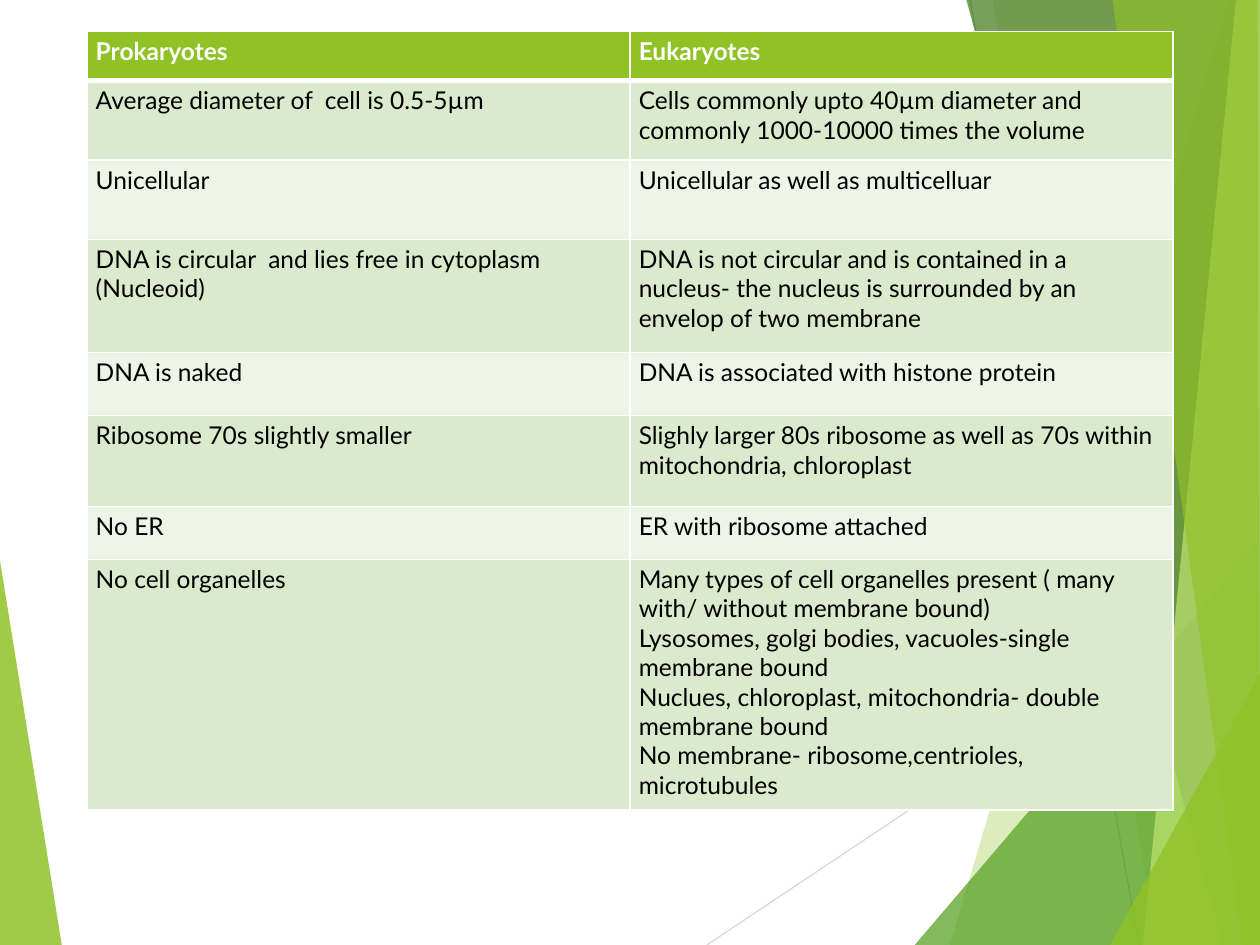
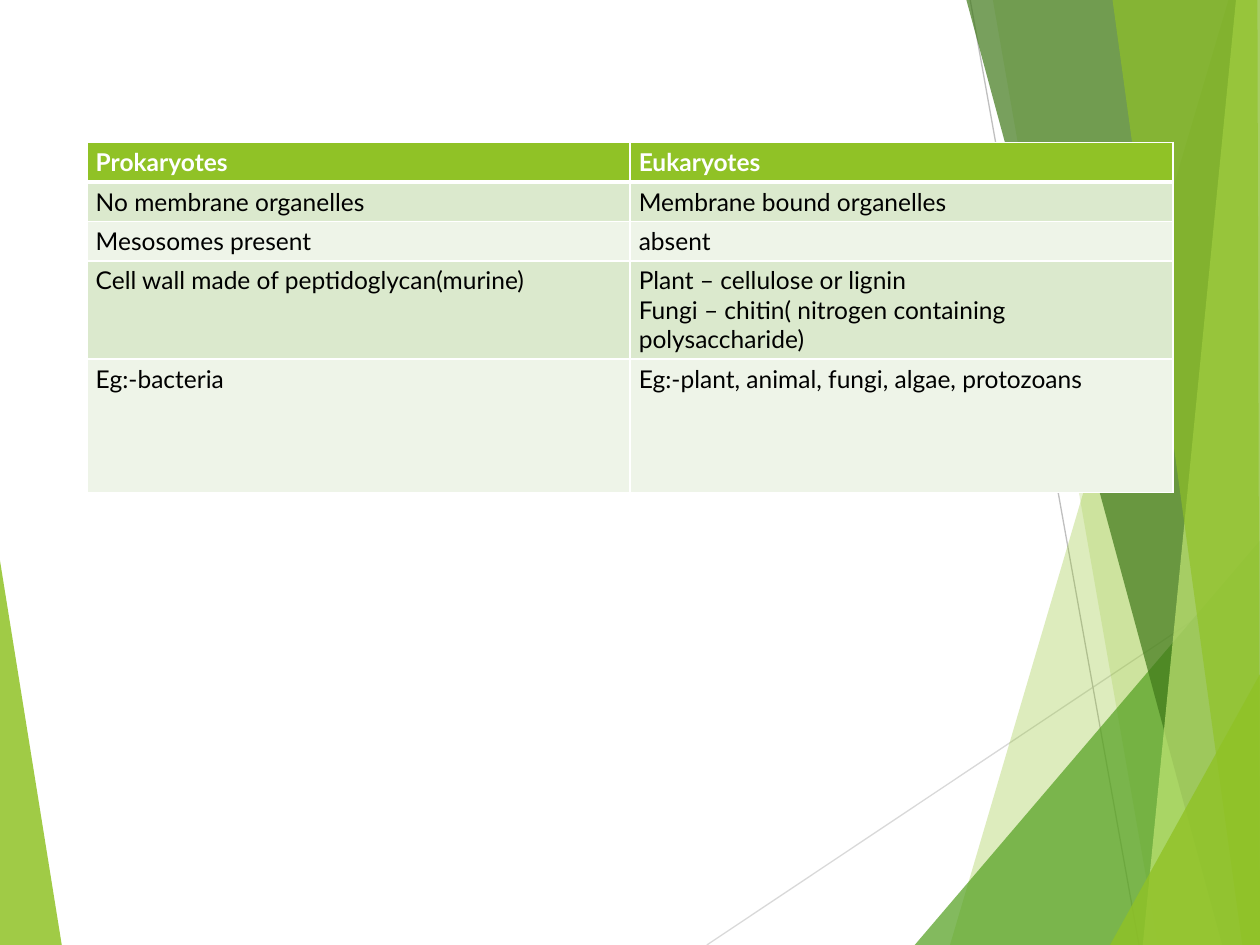
from lxml.etree import SubElement
from pptx import Presentation
from pptx.dml.color import RGBColor
from pptx.enum.shapes import MSO_CONNECTOR
from pptx.oxml.ns import qn
from pptx.util import Inches, Pt

# Shared theme
WHITE = RGBColor(0xFF, 0xFF, 0xFF)
BLACK = RGBColor(0x00, 0x00, 0x00)
LIME = RGBColor(0x90, 0xC2, 0x26)
PALE_LIME = RGBColor(0xC0, 0xE4, 0x74)
LEAF = RGBColor(0x54, 0xA0, 0x21)
FOREST = RGBColor(0x3F, 0x78, 0x19)
ODD_BAND = RGBColor(0xDB, 0xE9, 0xCD)
EVEN_BAND = RGBColor(0xEE, 0xF4, 0xE8)
LIGHT_GREY = RGBColor(0xD9, 0xD9, 0xD9)
GREY = RGBColor(0xBF, 0xBF, 0xBF)
FONT = "Lato"
FONT_SIZE = Pt(14)
SLIDE_W, SLIDE_H = 10, 7.5
TABLE_LEFT, COLUMN_W = 0.69, 4.31

# Background facets, back to front: colour, opacity in percent, corners
LEFT_FACET = (LIME, 85, [(0, 4.45), (0.49, SLIDE_H), (0, SLIDE_H)])
RIGHT_FACETS = [
    (LIME, 30, [(9.75, 0), (7.54, SLIDE_H), (SLIDE_W, SLIDE_H), (SLIDE_W, 0)]),
    (LIME, 20, [(7.88, 0), (9.19, SLIDE_H), (SLIDE_W, SLIDE_H), (SLIDE_W, 0)]),
    (LEAF, 72, [(7.26, SLIDE_H), (SLIDE_W, 4.29), (SLIDE_W, SLIDE_H)]),
    (FOREST, 70, [(7.67, 0), (9.7, SLIDE_H), (SLIDE_W, SLIDE_H), (SLIDE_W, 0)]),
    (PALE_LIME, 70, [(9.81, 0), (9.07, SLIDE_H), (SLIDE_W, SLIDE_H), (SLIDE_W, 0)]),
    (LIME, 65, [(8.83, 0), (9.86, SLIDE_H), (SLIDE_W, SLIDE_H), (9.98, 0)]),
    (LIME, 80, [(8.81, SLIDE_H), (SLIDE_W, 5.35), (SLIDE_W, SLIDE_H)]),
]
RAYS = [
    (LIGHT_GREY, (5.61, SLIDE_H), (SLIDE_W, 4.57)),
    (GREY, (7.7, 0), (9.04, SLIDE_H)),
]

# Comparison rows: height, prokaryotes, eukaryotes
HEADINGS = ("Prokaryotes", "Eukaryotes")
CELL_STRUCTURE = [
    (0.39, *HEADINGS),
    (0.63, "Average diameter of  cell is 0.5-5µm",
     "Cells commonly upto 40µm diameter and commonly 1000-10000 times the volume"),
    (0.63, "Unicellular", "Unicellular as well as multicelluar"),
    (0.9, "DNA is circular  and lies free in cytoplasm\n(Nucleoid)",
     "DNA is not circular and is contained in a nucleus- the nucleus is "
     "surrounded by an envelop of two membrane"),
    (0.5, "DNA is naked", "DNA is associated with histone protein"),
    (0.72, "Ribosome 70s slightly smaller",
     "Slighly larger 80s ribosome as well as 70s within mitochondria, chloroplast"),
    (0.42, "No ER", "ER with ribosome attached"),
    (1.99, "No cell organelles",
     "Many types of cell organelles present ( many with/ without membrane bound)\n"
     "Lysosomes, golgi bodies, vacuoles-single membrane bound\n"
     "Nuclues, chloroplast, mitochondria- double membrane bound\n"
     "No membrane- ribosome,centrioles, microtubules"),
]
ORGANELLES_AND_WALLS = [
    (0.31, *HEADINGS),
    (0.31, "No membrane organelles", "Membrane bound organelles"),
    (0.31, "Mesosomes present", "absent"),
    (0.78, "Cell wall made of peptidoglycan(murine)",
     "Plant – cellulose or lignin\n"
     "Fungi – chitin( nitrogen containing polysaccharide)"),
    (1.06, "Eg:-bacteria", "Eg:-plant, animal, fungi, algae, protozoans"),
]


def add_facet(slide, color, opacity, corners):
    """Draw one translucent polygon of the background."""
    points = [(Inches(x), Inches(y)) for x, y in corners]
    builder = slide.shapes.build_freeform(*points[0])
    builder.add_line_segments(points[1:], close=True)
    facet = builder.convert_to_shape()
    facet.shadow.inherit = False
    facet.line.fill.background()
    facet.fill.solid()
    facet.fill.fore_color.rgb = color
    tint = facet.element.spPr.find(qn("a:solidFill")).find(qn("a:srgbClr"))
    SubElement(tint, qn("a:alpha"), val=str(opacity * 1000))


def add_ray(slide, color, start, end):
    """Draw one thin line of the background."""
    ends = [Inches(value) for value in (*start, *end)]
    ray = slide.shapes.add_connector(MSO_CONNECTOR.STRAIGHT, *ends)
    ray.line.color.rgb = color
    ray.line.width = Pt(0.75)
    SubElement(ray.element.spPr, qn("a:effectLst"))


def add_background(slide):
    add_facet(slide, *LEFT_FACET)
    for ray in RAYS:
        add_ray(slide, *ray)
    for facet in RIGHT_FACETS:
        add_facet(slide, *facet)


def set_borders(cell, top, bottom):
    """Give the cell white borders; widths are in points."""
    properties = cell._tc.get_or_add_tcPr()
    for side, width in (("L", 1), ("R", 1), ("T", top), ("B", bottom)):
        border = SubElement(properties, qn(f"a:ln{side}"), w=str(Pt(width)))
        solid = SubElement(border, qn("a:solidFill"))
        SubElement(solid, qn("a:srgbClr"), val=str(WHITE))


def fill_cell(cell, text, row_index):
    is_heading = row_index == 0
    cell.margin_left = cell.margin_right = Inches(0.07)
    cell.margin_top = cell.margin_bottom = Inches(0.04)
    set_borders(cell, top=3 if row_index == 1 else 1, bottom=3 if is_heading else 1)
    cell.fill.solid()
    band = ODD_BAND if row_index % 2 else EVEN_BAND
    cell.fill.fore_color.rgb = LIME if is_heading else band
    cell.text_frame.text = text
    for paragraph in cell.text_frame.paragraphs:
        for run in paragraph.runs:
            run.font.name = FONT
            run.font.size = FONT_SIZE
            run.font.bold = is_heading
            run.font.color.rgb = WHITE if is_heading else BLACK


def add_comparison(slide, top, rows):
    """Add the two-column table of prokaryotes against eukaryotes."""
    height = sum(row[0] for row in rows)
    comparison = slide.shapes.add_table(
        len(rows), len(HEADINGS), Inches(TABLE_LEFT), Inches(top),
        Inches(COLUMN_W * len(HEADINGS)), Inches(height)).table
    for row_index, (row_height, *texts) in enumerate(rows):
        comparison.rows[row_index].height = Inches(row_height)
        for column_index, text in enumerate(texts):
            fill_cell(comparison.cell(row_index, column_index), text, row_index)


def main():
    deck = Presentation()
    deck.slide_width, deck.slide_height = Inches(SLIDE_W), Inches(SLIDE_H)
    blank_layout = deck.slide_layouts[6]
    for top, rows in ((0.25, CELL_STRUCTURE), (1.13, ORGANELLES_AND_WALLS)):
        slide = deck.slides.add_slide(blank_layout)
        add_background(slide)
        add_comparison(slide, top, rows)
    deck.save("out.pptx")


if __name__ == "__main__":
    main()
